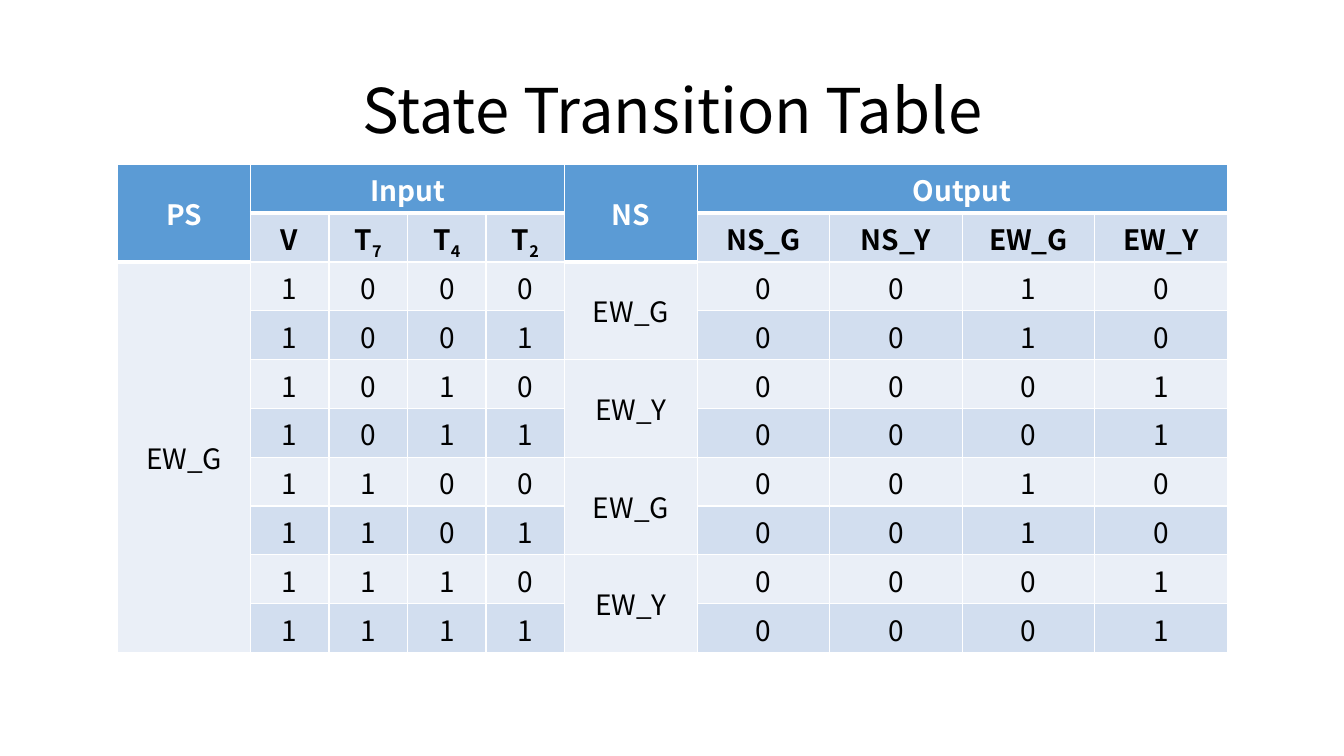
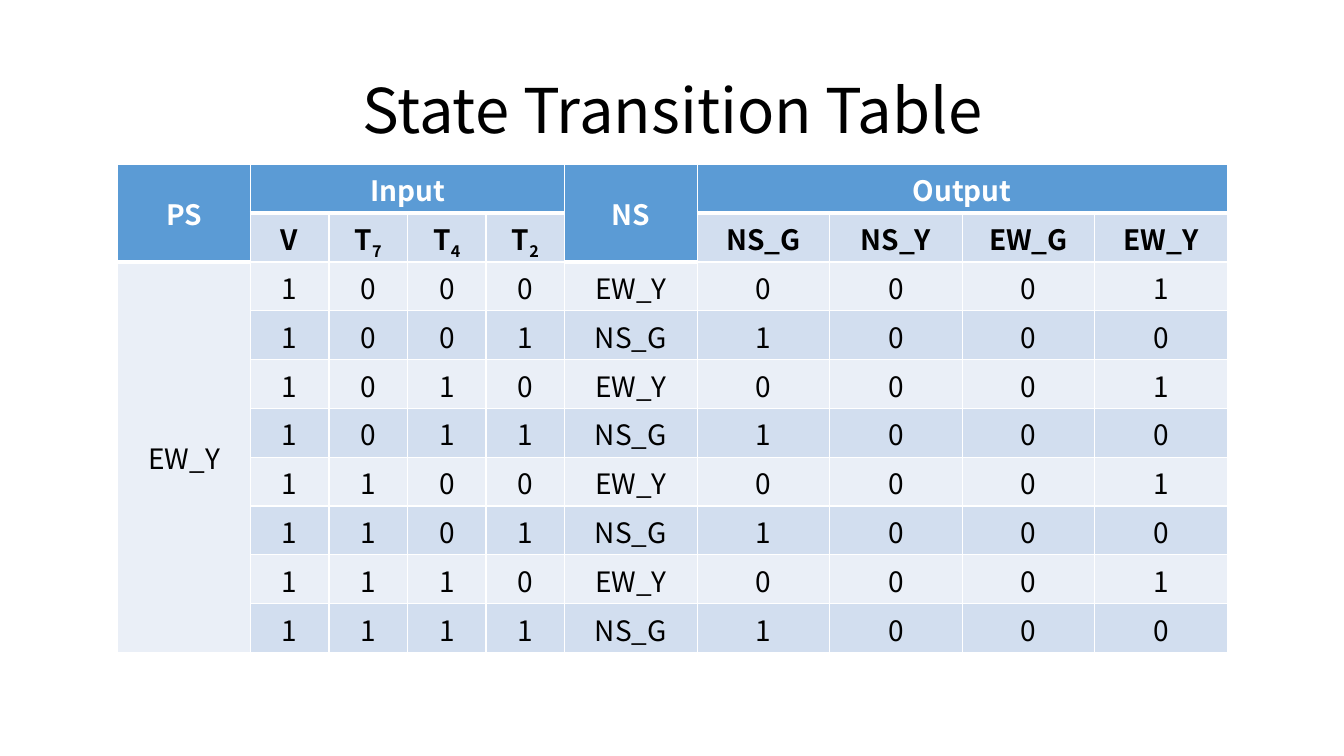
from itertools import groupby, product

from lxml.etree import SubElement
from pptx import Presentation
from pptx.dml.color import RGBColor
from pptx.enum.text import MSO_ANCHOR as Anchor, PP_ALIGN as Align
from pptx.oxml.ns import qn
from pptx.util import Cm, Pt

# Shared look
FONT = "Noto Sans CJK KR"
BLACK, WHITE = "000000", "FFFFFF"
HEADER, BAND_DARK, BAND_LIGHT = "5B9BD5", "D2DEEF", "EAEFF7"
THIN, THICK = 1, 3

# Regions as left, top, width, height in centimetres
TITLE_BOX = (2.34, 1.02, 29.21, 3.68)
TABLE_BOX = (2.97, 4.14, 27.96, 12.3)

# Table structure
INPUTS = [("V", ""), ("T", "7"), ("T", "4"), ("T", "2")]
LIGHTS = ["NS_G", "NS_Y", "EW_G", "EW_Y"]
PS_COL, INPUT_COL, NS_COL, OUTPUT_COL = 0, 1, 5, 6
COLUMN_SHARES = [3.34] + [1.98] * 4 + [3.34] * 5
HEADER_ROWS = 2
TIMER_STATES = list(product((0, 1), repeat=3))
ROW_COUNT = HEADER_ROWS + len(TIMER_STATES)


def color(hex_code):
    return RGBColor.from_string(hex_code)


def write_text(frame, text, size=20, bold=False, ink=BLACK, subscript="", line_spacing=None):
    paragraph = frame.paragraphs[0]
    paragraph.alignment = Align.CENTER
    if line_spacing:
        paragraph.line_spacing = line_spacing
    for part, baseline in ((text, None), (subscript, "-25000")):
        if not part:
            continue
        run = paragraph.add_run()
        run.text = part
        run.font.name, run.font.size, run.font.bold = FONT, Pt(size), bold
        run.font.color.rgb = color(ink)
        if baseline:
            run.font._element.set("baseline", baseline)


def add_title(slide, box, text):
    title = slide.shapes.add_textbox(*map(Cm, box)).text_frame
    title.word_wrap = True
    title.vertical_anchor = Anchor.MIDDLE
    write_text(title, text, size=44, line_spacing=0.9)


def style_cell(cell, fill, top, bottom):
    properties = cell._tc.get_or_add_tcPr()
    for side, width in (("L", THIN), ("R", THIN), ("T", top), ("B", bottom)):
        border = SubElement(properties, qn(f"a:ln{side}"), w=str(Pt(width)))
        SubElement(SubElement(border, qn("a:solidFill")), qn("a:srgbClr"), val=WHITE)
    cell.fill.solid()
    cell.fill.fore_color.rgb = color(fill)
    cell.vertical_anchor = Anchor.MIDDLE


def is_header(row, col):
    return row == 0 or (row == 1 and col in (PS_COL, NS_COL))


def style_grid(table):
    for row, col in product(range(ROW_COUNT), range(len(COLUMN_SHARES))):
        if is_header(row, col):
            fill = HEADER
        elif col == PS_COL or row % 2 == 0:
            fill = BAND_LIGHT
        else:
            fill = BAND_DARK
        top = THICK if row and is_header(row - 1, col) and not is_header(row, col) else THIN
        bottom = THICK if is_header(row, col) else THIN
        style_cell(table.cell(row, col), fill, top, bottom)


def put(table, row, col, text, rows=1, cols=1, **text_format):
    cell = table.cell(row, col)
    if rows > 1 or cols > 1:
        cell.merge(table.cell(row + rows - 1, col + cols - 1))
    write_text(cell.text_frame, str(text), **text_format)


def fill_headers(table):
    groups = ((PS_COL, "PS", 2, 1), (INPUT_COL, "Input", 1, len(INPUTS)),
              (NS_COL, "NS", 2, 1), (OUTPUT_COL, "Output", 1, len(LIGHTS)))
    for col, label, rows, cols in groups:
        put(table, 0, col, label, rows, cols, bold=True, ink=WHITE)
    for col, (signal, index) in enumerate(INPUTS, INPUT_COL):
        put(table, 1, col, signal, bold=True, subscript=index)
    for col, light in enumerate(LIGHTS, OUTPUT_COL):
        put(table, 1, col, light, bold=True)


def add_transition_table(slide, box, present_state, next_state):
    left, top, width, height = box
    table = slide.shapes.add_table(ROW_COUNT, len(COLUMN_SHARES), *map(Cm, box)).table
    table.first_row = table.horz_banding = False
    for column, share in zip(table.columns, COLUMN_SHARES):
        column.width = Cm(width * share / sum(COLUMN_SHARES))
    for row in table.rows:
        row.height = Cm(height / ROW_COUNT)
    style_grid(table)
    fill_headers(table)

    # Present state, inputs and the one light that is on
    put(table, HEADER_ROWS, PS_COL, present_state, rows=len(TIMER_STATES))
    results = [next_state(*timers) for timers in TIMER_STATES]
    for row, (timers, result) in enumerate(zip(TIMER_STATES, results), HEADER_ROWS):
        for col, bit in enumerate((1, *timers), INPUT_COL):
            put(table, row, col, bit)
        for col, light in enumerate(LIGHTS, OUTPUT_COL):
            put(table, row, col, int(light == result))

    # Next state, with equal neighbours merged
    row = HEADER_ROWS
    for result, run in groupby(results):
        span = len(list(run))
        put(table, row, NS_COL, result, rows=span)
        row += span


def next_from_ew_green(t7, t4, t2):
    return "EW_Y" if t4 else "EW_G"


def next_from_ew_yellow(t7, t4, t2):
    return "NS_G" if t2 else "EW_Y"


def main():
    deck = Presentation()
    deck.slide_width, deck.slide_height = Cm(33.87), Cm(19.05)
    blank = deck.slide_layouts[6]
    for present_state, next_state in (("EW_G", next_from_ew_green),
                                      ("EW_Y", next_from_ew_yellow)):
        slide = deck.slides.add_slide(blank)
        add_title(slide, TITLE_BOX, "State Transition Table")
        add_transition_table(slide, TABLE_BOX, present_state, next_state)
    deck.save("out.pptx")


if __name__ == "__main__":
    main()
